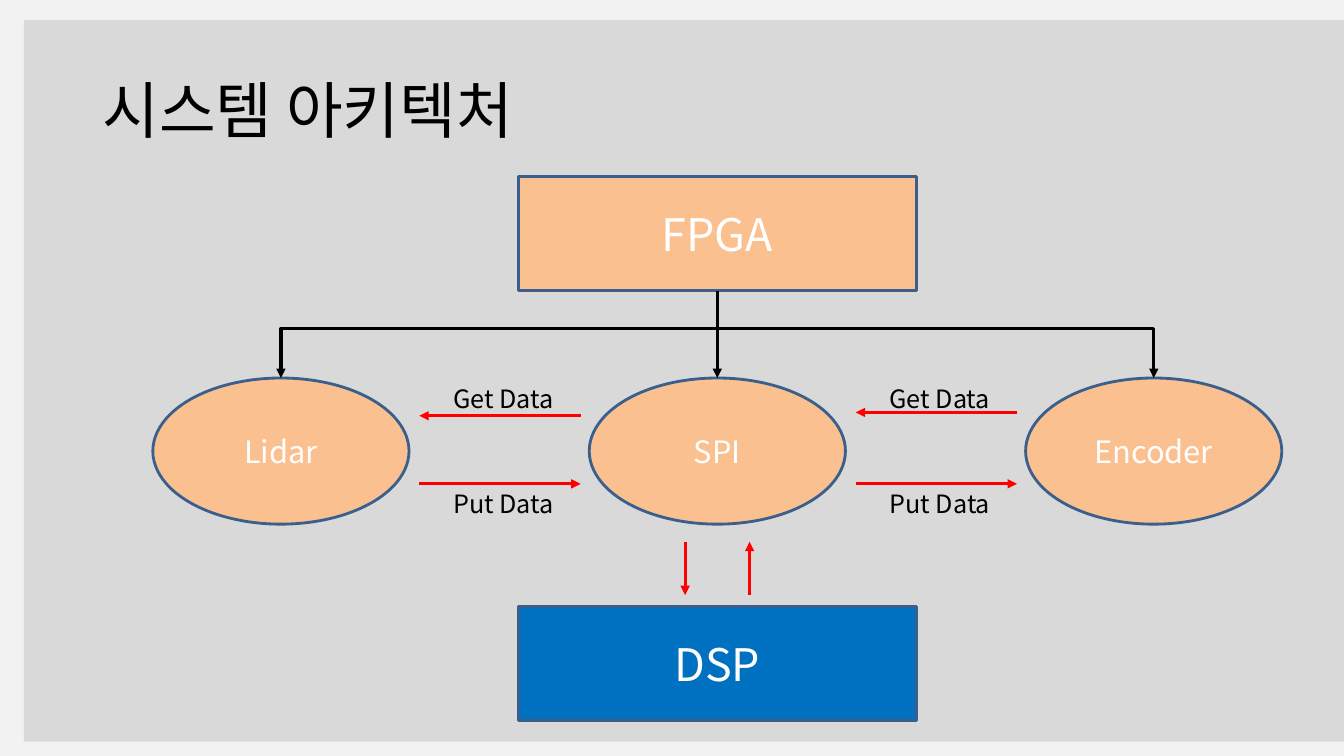
from lxml import etree
from pptx import Presentation
from pptx.dml.color import RGBColor
from pptx.enum.shapes import MSO_CONNECTOR, MSO_SHAPE
from pptx.enum.text import MSO_ANCHOR, PP_ALIGN
from pptx.oxml.ns import qn
from pptx.util import Inches, Pt

RECT, OVAL = MSO_SHAPE.RECTANGLE, MSO_SHAPE.OVAL
STRAIGHT = MSO_CONNECTOR.STRAIGHT
TOP, MIDDLE = MSO_ANCHOR.TOP, MSO_ANCHOR.MIDDLE
LEFT, CENTER = PP_ALIGN.LEFT, PP_ALIGN.CENTER

FONT = "Noto Sans CJK KR"
COLORS = {
    "back": "F2F2F2", "panel": "D9D9D9", "node": "FAC090", "dsp": "0070C0",
    "edge": "3A5F8C", "data": "FF0000", "black": "000000", "white": "FFFFFF",
}
COLS, ROWS = 160, 90


def rgb(name):
    return RGBColor.from_string(COLORS[name])


class Board:
    """Holds the slide and its style; all lengths are grid columns and rows."""

    def __init__(self, prs):
        self.cw, self.rh = prs.slide_width / COLS, prs.slide_height / ROWS
        self.slide = prs.slides.add_slide(prs.slide_layouts[6])
        self.shapes = self.slide.shapes
        fill = self.slide.background.fill
        fill.solid()
        fill.fore_color.rgb = rgb("back")

    def point(self, x, y):
        return round(x * self.cw), round(y * self.rh)

    def box(self, x, y, w, h):
        return self.point(x, y) + self.point(w, h)

    def set_text(self, sp, text, size, color, align, anchor):
        tf = sp.text_frame
        tf.text, tf.word_wrap, tf.vertical_anchor = text, True, anchor
        p = tf.paragraphs[0]
        p.alignment = align
        r = p.runs[0]
        r.font.size, r.font.name, r.font.color.rgb = Pt(size), FONT, rgb(color)
        ea = etree.SubElement(r.font._element, qn("a:ea"))
        ea.set("typeface", FONT)
        return p

    def text(self, x, y, w, h, text, size, anchor=TOP):
        sp = self.shapes.add_textbox(*self.box(x, y, w, h))
        return self.set_text(sp, text, size, "black", LEFT, anchor)

    def panel(self, x, y, w, h, alpha):
        sp = self.shapes.add_shape(RECT, *self.box(x, y, w, h))
        sp.shadow.inherit = False
        sp.fill.solid()
        sp.fill.fore_color.rgb = rgb("panel")
        sp.line.fill.background()
        color = sp.fill._xPr.find(qn("a:solidFill"))[0]
        etree.SubElement(color, qn("a:alpha")).set("val", str(alpha * 1000))

    def node(self, kind, cx, y, w, h, text, size, fill="node"):
        sp = self.shapes.add_shape(kind, *self.box(cx - w / 2, y, w, h))
        sp.shadow.inherit = False
        sp.fill.solid()
        sp.fill.fore_color.rgb = rgb(fill)
        sp.line.color.rgb, sp.line.width = rgb("edge"), Pt(2)
        self.set_text(sp, text, size, "white", CENTER, MIDDLE)

    def stroke(self, sp, color, ends):
        sp.line.color.rgb, sp.line.width = rgb(color), Pt(2.24)
        ln = sp.line._get_or_add_ln()
        for end in ends:
            etree.SubElement(ln, qn("a:" + end)).set("type", "triangle")

    def arrow(self, x1, y1, x2, y2, color="data"):
        sp = self.shapes.add_connector(
            STRAIGHT, *self.point(x1, y1), *self.point(x2, y2))
        self.stroke(sp, color, ["tailEnd"])
        etree.SubElement(sp._element.spPr, qn("a:effectLst"))

    def bracket(self, points, color):
        start, *rest = [self.point(x, y) for x, y in points]
        fb = self.shapes.build_freeform(*start)
        fb.add_line_segments(rest, close=False)
        sp = fb.convert_to_shape()
        sp.shadow.inherit = False
        sp.fill.background()
        self.stroke(sp, color, ["headEnd", "tailEnd"])


prs = Presentation()
prs.slide_width, prs.slide_height = Inches(13.33), Inches(7.5)
board = Board(prs)

# Backdrop and title
board.panel(2.85, 2.4, COLS - 2.85, 85.9, alpha=96)
title = board.text(11, 4.8, 138, 17.4, "시스템 아키텍처", 44, MIDDLE)
title.line_spacing = 0.9

# Blocks: controllers above and below, three modules in a row between them
MID, PITCH = 85.4, 51.95
BLOCK_W, BLOCK_H, FPGA_Y, DSP_Y = 47.4, 13.6, 21, 72.2
MODULE_W, MODULE_H, MODULE_Y = 30.5, 17.4, 45
centers = [MID + i * PITCH for i in (-1, 0, 1)]

board.node(RECT, MID, FPGA_Y, BLOCK_W, BLOCK_H, "FPGA", 32)
board.node(RECT, MID, DSP_Y, BLOCK_W, BLOCK_H, "DSP", 32, "dsp")
for cx, name in zip(centers, ("Lidar", "SPI", "Encoder")):
    board.node(OVAL, cx, MODULE_Y, MODULE_W, MODULE_H, name, 22)

# Control lines from the FPGA to each module
BUS_Y = 39.1
board.arrow(MID, FPGA_Y + BLOCK_H, MID, MODULE_Y, "black")
board.bracket([(centers[0], MODULE_Y), (centers[0], BUS_Y),
               (centers[2], BUS_Y), (centers[2], MODULE_Y)], "black")

# Data exchange between neighbouring modules
REACH, PUT_Y = 9.6, 57.6
for side, get_y in ((-1, 49.5), (1, 49.1)):
    gap = MID + side * PITCH / 2 + 0.1
    board.arrow(gap + REACH, get_y, gap - REACH, get_y)
    board.arrow(gap - REACH, PUT_Y, gap + REACH, PUT_Y)
    for label, y in (("Get Data", 45.1), ("Put Data", PUT_Y)):
        board.text(gap - 6.75, y, 16.4, 4.8, label, 18)

# Data exchange between the SPI and the DSP
UPPER, LOWER, SHIFT = 64.5, 70.85, 3.84
board.arrow(MID - SHIFT, UPPER, MID - SHIFT, LOWER)
board.arrow(MID + SHIFT, LOWER, MID + SHIFT, UPPER)

prs.save("out.pptx")
